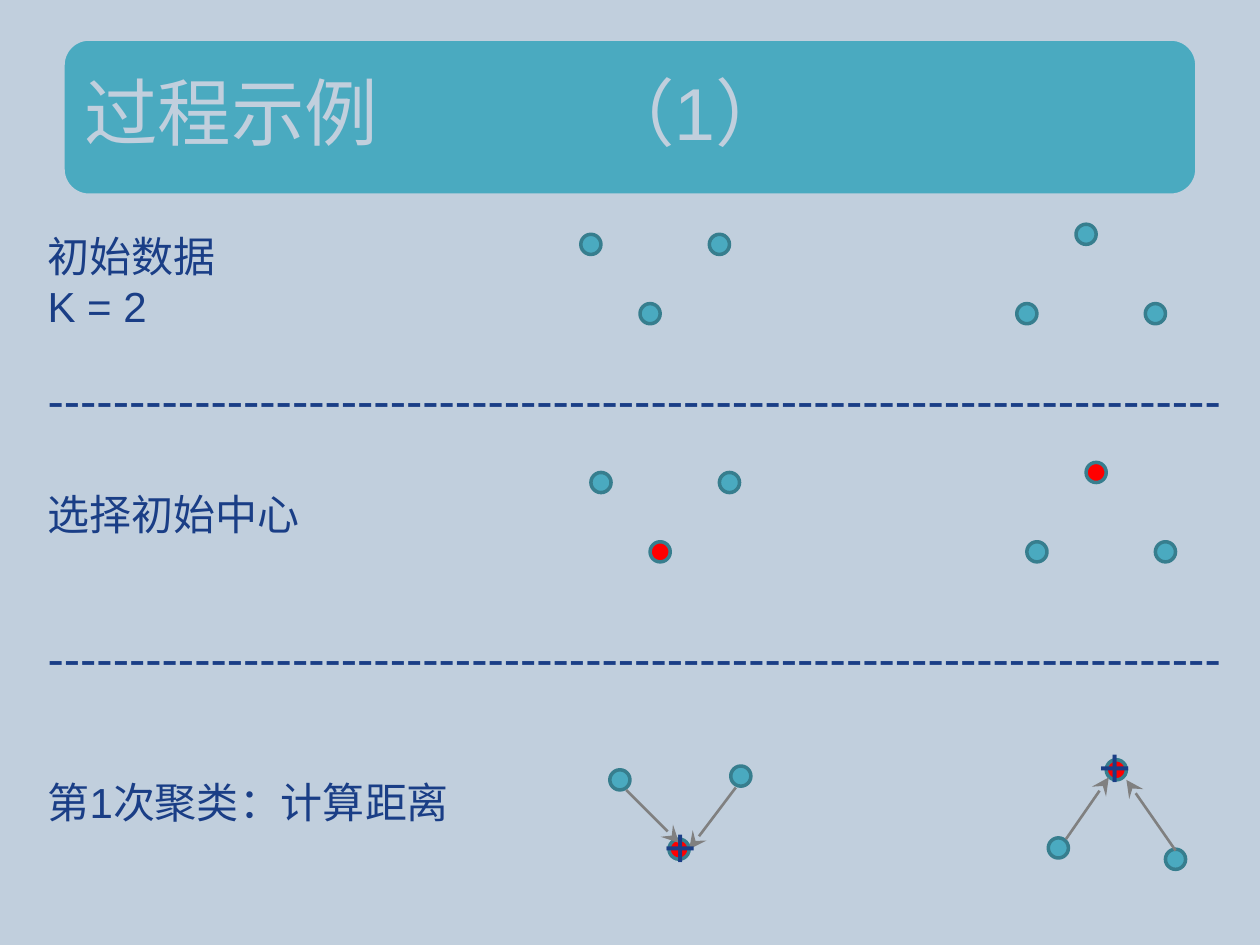
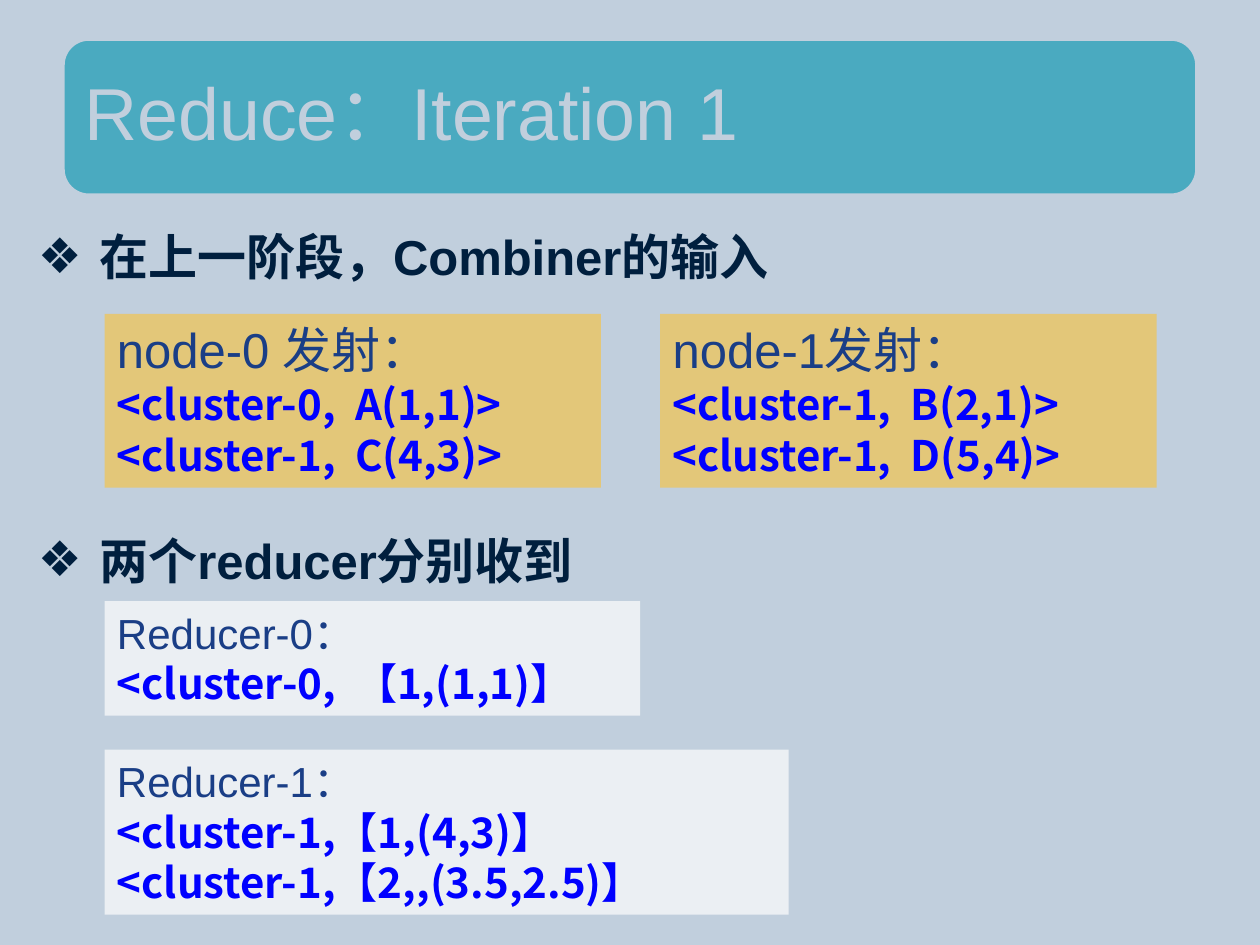
from lxml import etree
from pptx import Presentation
from pptx.dml.color import RGBColor
from pptx.enum import shapes, text
from pptx.oxml.ns import qn
from pptx.util import Inches, Pt

COLORS = {
    "background": "C1CFDD",
    "band": "4AAAC0",
    "dot_edge": "377E8E",
    "center": "FF0000",
    "label": "1A3E86",
    "heading": "001F3E",
    "pair": "0000FF",
    "arrow": "808080",
    "node": "E3C779",
    "reducer": "EBEFF3",
}
BODY_FONT = "Arial"
PAIR_FONT = "Noto Sans CJK SC"
TITLE_ONLY, TITLE_AND_BODY = 5, 1
BAND = (0.5, 0.31, 9, 1.24)
DOT = 0.16

# Two groups of three points; the third and the last become centers
POINTS = [(4.61, 1.86), (5.63, 1.86), (5.08, 2.41),
          (8.07, 2.41), (9.09, 2.41), (8.54, 1.78)]
CLUSTERED = [(4.84, 6.11), (5.8, 6.08), (5.31, 6.66),
             (8.32, 6.65), (9.25, 6.74), (8.78, 6.03)]
CENTERS = (2, 5)
ARROWS = [(4.97, 6.27, 5.39, 6.69), (5.84, 6.25, 5.47, 6.74),
          (8.46, 6.66, 8.8, 6.17), (9.33, 6.75, 8.94, 6.19)]


def rgb(name):
    return RGBColor.from_string(COLORS[name])


def inches(*lengths):
    return [Inches(length) for length in lengths]


def style(para, size, color, font=BODY_FONT, bold=False):
    para.font.size = Pt(size)
    para.font.name = font
    para.font.bold = bold
    para.font.color.rgb = rgb(color)


def add_filled(page, kind, at, fill, edge=None):
    shape = page.shapes.add_shape(kind, *inches(*at))
    shape.shadow.inherit = False
    shape.fill.solid()
    shape.fill.fore_color.rgb = rgb(fill)
    if edge:
        shape.line.color.rgb = rgb(edge)
        shape.line.width = Pt(2)
    else:
        shape.line.fill.background()
    return shape


def add_title(page, title, tab=None):
    """Place the title placeholder on a rounded band."""
    box = page.shapes.title
    band = add_filled(page, shapes.MSO_SHAPE.ROUNDED_RECTANGLE, BAND,
                      "band", "background")
    box.element.addprevious(band.element)
    box.left, box.top, box.width, box.height = inches(*BAND)
    frame = box.text_frame
    frame.text = title
    frame.auto_size = text.MSO_AUTO_SIZE.NONE
    frame.vertical_anchor = text.MSO_ANCHOR.MIDDLE
    frame.margin_left = frame.margin_right = Inches(0.17)
    frame.margin_top = frame.margin_bottom = Inches(0.17)
    para = frame.paragraphs[0]
    if tab:
        stops = etree.SubElement(para._p.get_or_add_pPr(), qn("a:tabLst"))
        etree.SubElement(stops, qn("a:tab"), pos=str(Inches(tab)), algn="l")
    para.alignment = text.PP_ALIGN.LEFT
    para.line_spacing = 0.9
    style(para, 42, "background")


def add_label(page, at, lines, size=24):
    box = page.shapes.add_textbox(*inches(*at))
    box.text_frame.word_wrap = True
    box.text_frame.text = lines
    for para in box.text_frame.paragraphs:
        style(para, size, "label")


def add_dots(page, points):
    for index, (left, top) in enumerate(points):
        fill = "center" if index in CENTERS else "band"
        add_filled(page, shapes.MSO_SHAPE.OVAL, (left, top, DOT, DOT),
                   fill, "dot_edge")


def add_arrow(page, ends):
    arrow = page.shapes.add_connector(shapes.MSO_CONNECTOR.STRAIGHT,
                                      *inches(*ends))
    arrow.line.color.rgb = rgb("arrow")
    arrow.line.width = Pt(1.5)
    etree.SubElement(arrow.line._get_or_add_ln(), qn("a:tailEnd"),
                     type="stealth", w="lg", len="lg")
    etree.SubElement(arrow.element.spPr, qn("a:effectLst"))


def add_bullets(page, at, items, gap):
    """Fill the body placeholder; gap is the space between items in points."""
    body = page.placeholders[1]
    body.left, body.top, body.width, body.height = inches(*at)
    frame = body.text_frame
    frame.text = "\n".join(items)
    frame.auto_size = text.MSO_AUTO_SIZE.NONE
    for index, para in enumerate(frame.paragraphs):
        props = para._p.get_or_add_pPr()
        props.set("marL", str(Inches(0.49)))
        props.set("indent", str(-Inches(0.49)))
        color = etree.SubElement(props, qn("a:buClr"))
        etree.SubElement(color, qn("a:srgbClr"), val=COLORS["heading"])
        etree.SubElement(props, qn("a:buChar"), char="❖")
        para.space_before = Pt(gap if index else 0)
        style(para, 28, "heading", bold=True)


def add_pairs(page, at, fill, heading, pairs, heading_size):
    """A filled box with a heading and key-value pairs below it."""
    box = add_filled(page, shapes.MSO_SHAPE.RECTANGLE, at, fill)
    frame = box.text_frame
    frame.word_wrap = True
    frame.vertical_anchor = text.MSO_ANCHOR.TOP
    frame.text = "\n".join([heading, *pairs])
    for index, para in enumerate(frame.paragraphs):
        para.alignment = text.PP_ALIGN.LEFT
        if index:
            style(para, 24, "pair", PAIR_FONT, True)
        else:
            style(para, heading_size, "label")


def build_process(deck):
    page = deck.slides.add_slide(deck.slide_layouts[TITLE_ONLY])
    add_title(page, "过程示例\t（1）", tab=4.1)

    # Row labels and dividers
    add_label(page, (0.28, 1.78, 1.97, 0.91), "初始数据\nK = 2")
    add_label(page, (0.28, 3.83, 2.83, 0.5), "选择初始中心")
    add_label(page, (0.28, 6.11, 3.86, 0.5), "第1次聚类：计算距离")
    for top in (2.88, 4.93):
        add_label(page, (0.28, top, 9.6, 0.57), "-" * 72, 28)

    # Initial data, then the same points with centers chosen
    for left, top in POINTS:
        add_filled(page, shapes.MSO_SHAPE.OVAL, (left, top, DOT, DOT),
                   "band", "dot_edge")
    add_dots(page, [(left + 0.08, top + 1.89) for left, top in POINTS])

    # Distances to the centers
    add_dots(page, CLUSTERED)
    for ends in ARROWS:
        add_arrow(page, ends)
    for left, top in ((5.17, 6.39), (8.62, 5.76)):
        add_label(page, (left, top, 0.5, 0.64), "+", 32)


def build_reduce(deck):
    page = deck.slides.add_slide(deck.slide_layouts[TITLE_AND_BODY])
    add_title(page, "Reduce：Iteration 1")
    add_bullets(page, (0.2, 1.75, 9.53, 5.54),
                ["在上一阶段，Combiner的输入", "两个reducer分别收到"], 140)

    # Output of the nodes
    nodes = [
        ("node-0 发射：", ["<cluster-0,  A(1,1)>", "<cluster-1,  C(4,3)>"]),
        ("node-1发射：", ["<cluster-1,  B(2,1)>", "<cluster-1,  D(5,4)>"]),
    ]
    for index, (heading, pairs) in enumerate(nodes):
        add_pairs(page, (0.83 + 4.41 * index, 2.49, 3.94, 1.38), "node",
                  heading, pairs, 28)

    # Input of the reducers
    add_pairs(page, (0.83, 4.77, 4.25, 0.91), "reducer", "Reducer-0：",
              ["<cluster-0,  【1,(1,1)】"], 24)
    add_pairs(page, (0.83, 5.95, 5.43, 1.31), "reducer", "Reducer-1：",
              ["<cluster-1,【1,(4,3)】", "<cluster-1,【2,,(3.5,2.5)】"], 24)


def main():
    deck = Presentation()
    deck.slide_width, deck.slide_height = inches(10, 7.5)
    backdrop = deck.slide_master.background.fill
    backdrop.solid()
    backdrop.fore_color.rgb = rgb("background")
    build_process(deck)
    build_reduce(deck)
    deck.save("out.pptx")


if __name__ == "__main__":
    main()
